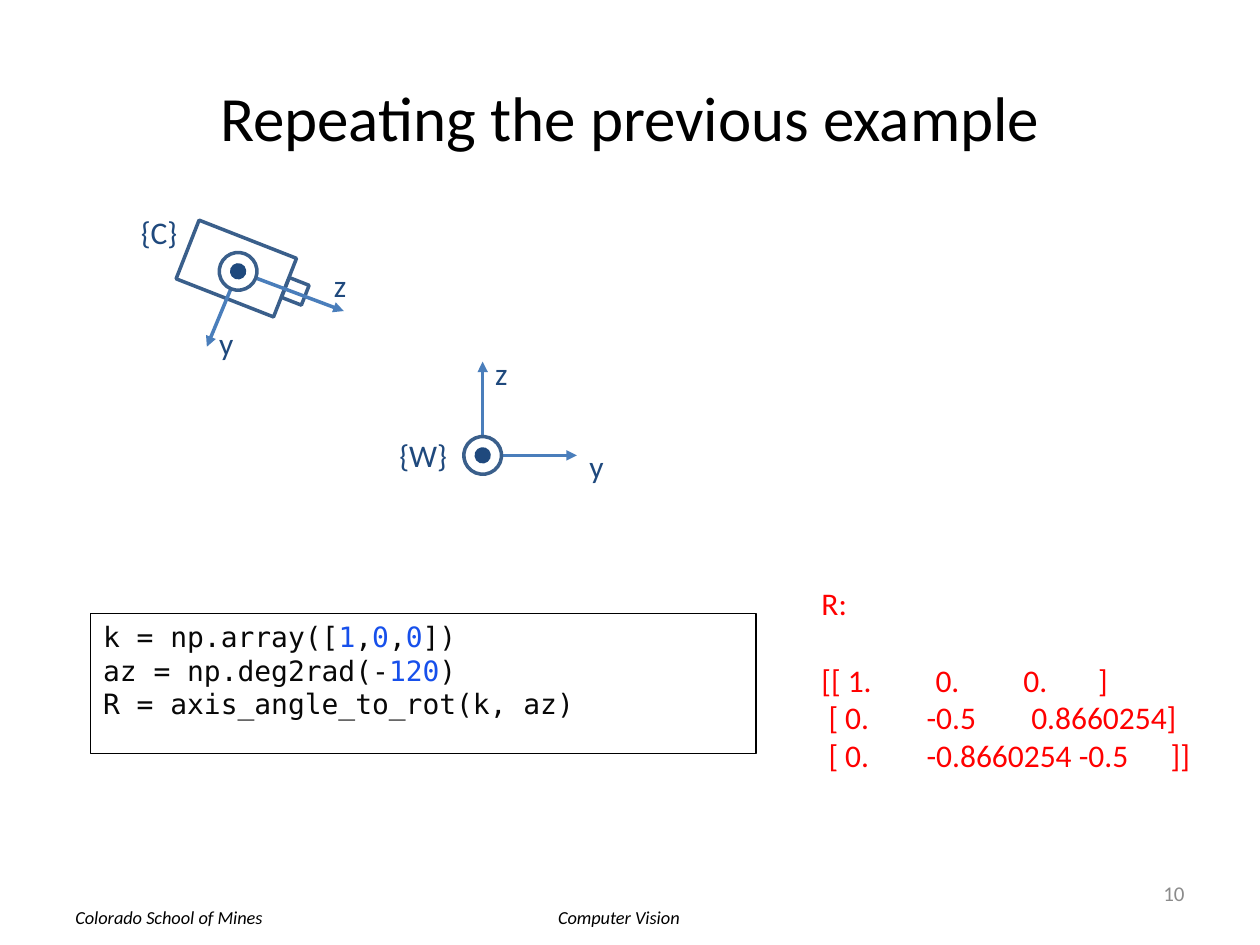
"""Build the slide that repeats the camera rotation example with axis and angle."""
from lxml.etree import SubElement
from pptx import Presentation
from pptx.dml.color import RGBColor
from pptx.enum.shapes import MSO_CONNECTOR as Connector, MSO_SHAPE as Shape
from pptx.enum.text import MSO_ANCHOR as Anchor, MSO_AUTO_SIZE as AutoSize, PP_ALIGN as Align
from pptx.oxml.ns import qn
from pptx.util import Cm, Pt

BLACK = RGBColor(0x00, 0x00, 0x00)
WHITE = RGBColor(0xFF, 0xFF, 0xFF)
RED = RGBColor(0xFF, 0x00, 0x00)
GRAY = RGBColor(0x8B, 0x8B, 0x8B)
NAVY = RGBColor(0x1F, 0x49, 0x7D)
OUTLINE = RGBColor(0x3A, 0x5F, 0x8B)
AXIS = RGBColor(0x4A, 0x7E, 0xBB)
CODE = RGBColor(0x08, 0x08, 0x08)
NUMBER = RGBColor(0x17, 0x50, 0xEB)

TITLE_FONT = {"name": "Calibri", "size": Pt(36)}
LABEL_FONT = {"name": "Calibri", "size": Pt(18)}
PAGE_FONT = {"name": "Calibri", "size": Pt(12)}
FOOTER_FONT = {"name": "Calibri", "size": Pt(10.5), "italic": True}
CODE_FONT = {"name": "DejaVu Sans Mono", "size": Pt(16)}

TILT = 21.4
RING, DOT = 0.76, 0.33
CODE_LINES = [
    [("k = np.array([", CODE), ("1", NUMBER), (",", CODE), ("0", NUMBER),
     (",", CODE), ("0", NUMBER), ("])", CODE)],
    [("az = np.deg2rad(-", CODE), ("120", NUMBER), (")", CODE)],
    [("R = axis_angle_to_rot(k, az)", CODE)],
]
MATRIX_ROWS = [
    ("[[ 1.\t0.\t0.\t]", (2.3, 4.07, 5.58)),
    (" [ 0.\t-0.5\t0.8660254]", (2.12, 4.23)),
    (" [ 0.\t-0.8660254 -0.5\t]]", (2.12, 7.04)),
]


def set_format(target, values):
    """Set each attribute named in values on target."""
    for key, value in values.items():
        setattr(target, key, value)


def add_run(paragraph, text, font, color):
    """Append a formatted run to a paragraph."""
    run = paragraph.add_run()
    run.text = text
    set_format(run.font, font)
    run.font.color.rgb = color


def add_text(slide, box, text, font, color, align=Align.LEFT, **frame_format):
    """Add a text box with one line and return its frame."""
    frame = slide.shapes.add_textbox(*map(Cm, box)).text_frame
    set_format(frame, frame_format)
    frame.paragraphs[0].alignment = align
    add_run(frame.paragraphs[0], text, font, color)
    return frame


def add_outline(slide, kind, box, fill=None, line=OUTLINE, width=2, tilt=TILT):
    """Add a preset shape with an optional fill and outline."""
    outline = slide.shapes.add_shape(kind, *map(Cm, box))
    outline.shadow.inherit = False
    outline.rotation = tilt
    if fill is None:
        outline.fill.background()
    else:
        outline.fill.solid()
        outline.fill.fore_color.rgb = fill
    if line is None:
        outline.line.fill.background()
    else:
        outline.line.color.rgb = line
        outline.line.width = Pt(width)
    return outline


def add_axis(slide, origin, tip):
    """Add an arrow from the origin to the tip of an axis."""
    axis = slide.shapes.add_connector(Connector.STRAIGHT, *map(Cm, origin + tip))
    axis.line.color.rgb = AXIS
    axis.line.width = Pt(2)
    SubElement(axis.line._get_or_add_ln(), qn("a:tailEnd"), type="triangle")
    SubElement(axis._element.spPr, qn("a:effectLst"))


def add_frame(slide, origin, tips, labels):
    """Add a coordinate frame whose x axis points at the viewer."""
    for tip in tips:
        add_axis(slide, origin, tip)
    for size, fill, line in ((RING, WHITE, OUTLINE), (DOT, NAVY, None)):
        left, top = (center - size / 2 for center in origin)
        add_outline(slide, Shape.OVAL, (left, top, size, size), fill, line)
    for label, left, top in labels:
        add_text(slide, (left, top, 1.47, 1.02), label, LABEL_FONT, NAVY, word_wrap=False)


def add_code(slide):
    """Add the framed code listing."""
    listing = add_outline(slide, Shape.RECTANGLE, (1.83, 12.37, 13.41, 2.82),
                          line=BLACK, width=0.75, tilt=0)
    frame = listing.text_frame
    set_format(frame, {"vertical_anchor": Anchor.TOP, "word_wrap": True})
    for index, code_line in enumerate(CODE_LINES):
        paragraph = frame.add_paragraph() if index else frame.paragraphs[0]
        paragraph.alignment = Align.LEFT
        for text, color in code_line:
            add_run(paragraph, text, CODE_FONT, color)


def add_matrix(slide):
    """Add the printed rotation matrix with its columns on tab stops."""
    inset = Cm(0.25)
    frame = add_text(slide, (16.31, 11.53, 8.74, 4.47), "R:", LABEL_FONT, RED,
                     word_wrap=True, margin_top=inset, margin_bottom=inset)
    frame.paragraphs[0].space_after = Pt(22)
    for row, stops in MATRIX_ROWS:
        paragraph = frame.add_paragraph()
        tabs = SubElement(paragraph._p.get_or_add_pPr(), qn("a:tabLst"))
        for stop in stops:
            SubElement(tabs, qn("a:tab"), pos=str(Cm(stop)), algn="l")
        add_run(paragraph, row, LABEL_FONT, RED)


def add_title(slide):
    """Place and format the slide title."""
    title = slide.shapes.title
    set_format(title, {"left": Cm(1.27), "top": Cm(0.76),
                       "width": Cm(22.86), "height": Cm(3.18)})
    title.text_frame.vertical_anchor = Anchor.MIDDLE
    heading = title.text_frame.paragraphs[0]
    heading.alignment = Align.CENTER
    add_run(heading, "Repeating the previous example", TITLE_FONT, BLACK)


def main():
    """Build and save the slide."""
    deck = Presentation()
    set_format(deck, {"slide_width": Cm(25.4), "slide_height": Cm(19.05)})
    slide = deck.slides.add_slide(deck.slide_layouts[5])
    for text, left, width in (("Computer Vision", 11, 3), ("Colorado School of Mines", 1.27, 4.34)):
        add_text(slide, (left, 18.14, width, 0.71), text, FOOTER_FONT, BLACK,
                 word_wrap=False, auto_size=AutoSize.SHAPE_TO_FIT_TEXT)
    add_title(slide)
    add_text(slide, (18.21, 17.35, 5.92, 1.32), "10", PAGE_FONT, GRAY, Align.RIGHT,
             word_wrap=True, vertical_anchor=Anchor.MIDDLE)
    for camera_part in ((3.71, 4.78, 2.11, 1.27), (5.74, 5.66, 0.43, 0.43)):
        add_outline(slide, Shape.RECTANGLE, camera_part)
    add_frame(slide, (4.8, 5.47), ((6.93, 6.27), (4.17, 6.99)),
              (("{C}", 2.59, 4.17), ("z", 6.48, 5.23), ("y", 4.17, 6.4)))
    add_frame(slide, (9.73, 9.18), ((11.63, 9.18), (9.73, 7.29)),
              (("{W}", 7.8, 8.66), ("z", 9.73, 7.01), ("y", 11.63, 8.89)))
    add_code(slide)
    add_matrix(slide)
    deck.save("out.pptx")


if __name__ == "__main__":
    main()
